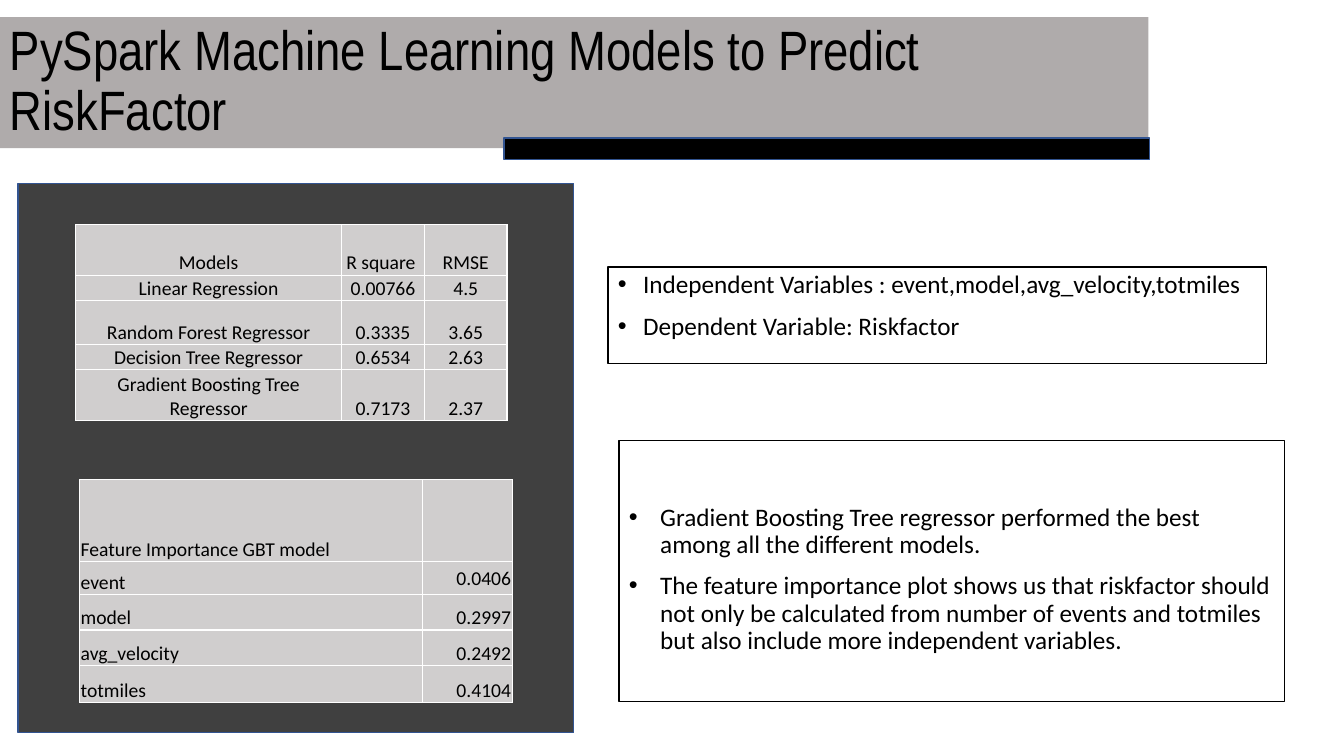
from dataclasses import dataclass
from lxml.etree import SubElement
from pptx import Presentation
from pptx.dml.color import RGBColor as RGB
from pptx.enum.shapes import MSO_SHAPE as Shape
from pptx.enum.text import MSO_ANCHOR as Anchor, PP_ALIGN as Align
from pptx.oxml.ns import qn
from pptx.util import Inches, Pt


@dataclass(frozen=True)
class Theme:
    black: str = "000000"
    white: str = "FFFFFF"
    banner: str = "AFABAB"
    panel: str = "404040"
    edge: str = "325491"
    cell: str = "D0CECE"
    title_font: str = "Arial Narrow"
    body_font: str = "Calibri"
    title_size: float = 39.6
    body_size: float = 18
    table_size: float = 14


T = Theme()

MODELS = [
    ["Models", "R square ", "RMSE"],
    ["Linear Regression", "0.00766", "4.5"],
    ["Random Forest Regressor", "0.3335", "3.65"],
    ["Decision Tree Regressor", "0.6534", "2.63"],
    ["Gradient Boosting Tree Regressor", "0.7173", "2.37"],
]
FEATURES = [
    ["Feature Importance GBT model", ""],
    ["event", "0.0406"],
    ["model", "0.2997"],
    ["avg_velocity", "0.2492"],
    ["totmiles", "0.4104"],
]
VARIABLES = [
    "Independent Variables : event,model,avg_velocity,totmiles",
    "Dependent Variable: Riskfactor",
]
FINDINGS = [
    "Gradient Boosting Tree regressor performed the best among all the different models.",
    "The feature importance plot shows us that riskfactor should not only be calculated "
    "from number of events and totmiles but also include more independent variables.",
]


def add_rect(s, x, y, w, h, fill, line=None):
    sp = s.shapes.add_shape(Shape.RECTANGLE, Inches(x), Inches(y), Inches(w), Inches(h))
    sp.shadow.inherit = False
    sp.fill.solid()
    sp.fill.fore_color.rgb = RGB.from_string(fill)
    if line:
        sp.line.color.rgb = RGB.from_string(line)
        sp.line.width = Pt(1)
    else:
        sp.line.fill.background()
    return sp


def write(p, text, size=T.body_size, font=T.body_font, align=Align.LEFT, spacing=None, before=None):
    p.alignment = align
    p.line_spacing = spacing
    if before is not None:
        p.space_before = Pt(before)
    r = p.add_run()
    r.text = text
    r.font.size = Pt(size)
    r.font.name = font
    r.font.color.rgb = RGB.from_string(T.black)


def add_bullet(p, indent):
    pPr = p._p.get_or_add_pPr()
    pPr.set("marL", str(Inches(indent)))
    pPr.set("indent", str(-Inches(indent)))
    SubElement(pPr, qn("a:buFont"), typeface="Arial")
    SubElement(pPr, qn("a:buChar"), char="•")


def add_borders(cell):
    tcPr = cell._tc.get_or_add_tcPr()
    for side in ("lnL", "lnR", "lnT", "lnB"):
        ln = SubElement(tcPr, qn(f"a:{side}"), w=str(Pt(1)))
        SubElement(SubElement(ln, qn("a:solidFill")), qn("a:srgbClr"), val=T.white)


def add_title(s, x, y, w, h):
    tf = add_rect(s, x, y, w, h, T.banner).text_frame
    tf.word_wrap = True
    tf.vertical_anchor = Anchor.MIDDLE
    write(tf.paragraphs[0], "PySpark Machine Learning Models to Predict RiskFactor",
          size=T.title_size, font=T.title_font, spacing=0.9)


def add_grid(s, x, y, widths, heights, rows, aligns):
    tbl = s.shapes.add_table(len(rows), len(widths), Inches(x), Inches(y),
                             Inches(sum(widths)), Inches(sum(heights))).table
    tbl.first_row = tbl.horz_banding = False
    for col, width in zip(tbl.columns, widths):
        col.width = Inches(width)
    for row, height, values in zip(tbl.rows, heights, rows):
        row.height = Inches(height)
        for cell, text, align in zip(row.cells, values, aligns):
            add_borders(cell)
            cell.fill.solid()
            cell.fill.fore_color.rgb = RGB.from_string(T.cell)
            cell.vertical_anchor = Anchor.BOTTOM
            cell.margin_left = cell.margin_right = cell.margin_top = Inches(0.01)
            cell.margin_bottom = 0
            if text:
                write(cell.text_frame.paragraphs[0], text, size=T.table_size, align=align)
    return tbl


def add_results_panel(s, x, y, w, h):
    add_rect(s, x, y, w, h, T.panel, T.edge)
    add_grid(s, x + 0.57, y + 0.41, [2.64, 0.82, 0.82], [0.5, 0.25, 0.44, 0.25, 0.5],
             MODELS, [Align.CENTER] * 3)
    features = add_grid(s, x + 0.61, y + 2.94, [3.4, 0.89], [0.81, 0.33, 0.35, 0.35, 0.37],
                        FEATURES, [Align.LEFT, Align.RIGHT])
    features.cell(1, 1).vertical_anchor = Anchor.MIDDLE


def add_bullet_box(s, x, y, w, h, items, indent, anchor=Anchor.TOP, top=0.05):
    tf = add_rect(s, x, y, w, h, T.white, T.black).text_frame
    tf.word_wrap = True
    tf.vertical_anchor = anchor
    tf.margin_top = Inches(top)
    for i, text in enumerate(items):
        p = tf.add_paragraph() if i else tf.paragraphs[0]
        write(p, text, spacing=0.9, before=10 if i else 0)
        add_bullet(p, indent)


def main():
    prs = Presentation()
    prs.slide_width, prs.slide_height = Inches(13.33), Inches(7.5)
    s = prs.slides.add_slide(prs.slide_layouts[6])
    add_results_panel(s, 0.18, 1.82, 5.51, 5.45)
    add_title(s, 0, 0.17, 11.39, 1.3)
    add_bullet_box(s, 6.03, 2.65, 6.53, 0.96, VARIABLES, 0.25)
    add_bullet_box(s, 6.14, 4.37, 6.6, 2.59, FINDINGS, 0.31, Anchor.MIDDLE, 0.22)
    add_rect(s, 5, 1.37, 6.4, 0.21, T.black, T.edge)
    prs.save("out.pptx")


if __name__ == "__main__":
    main()
